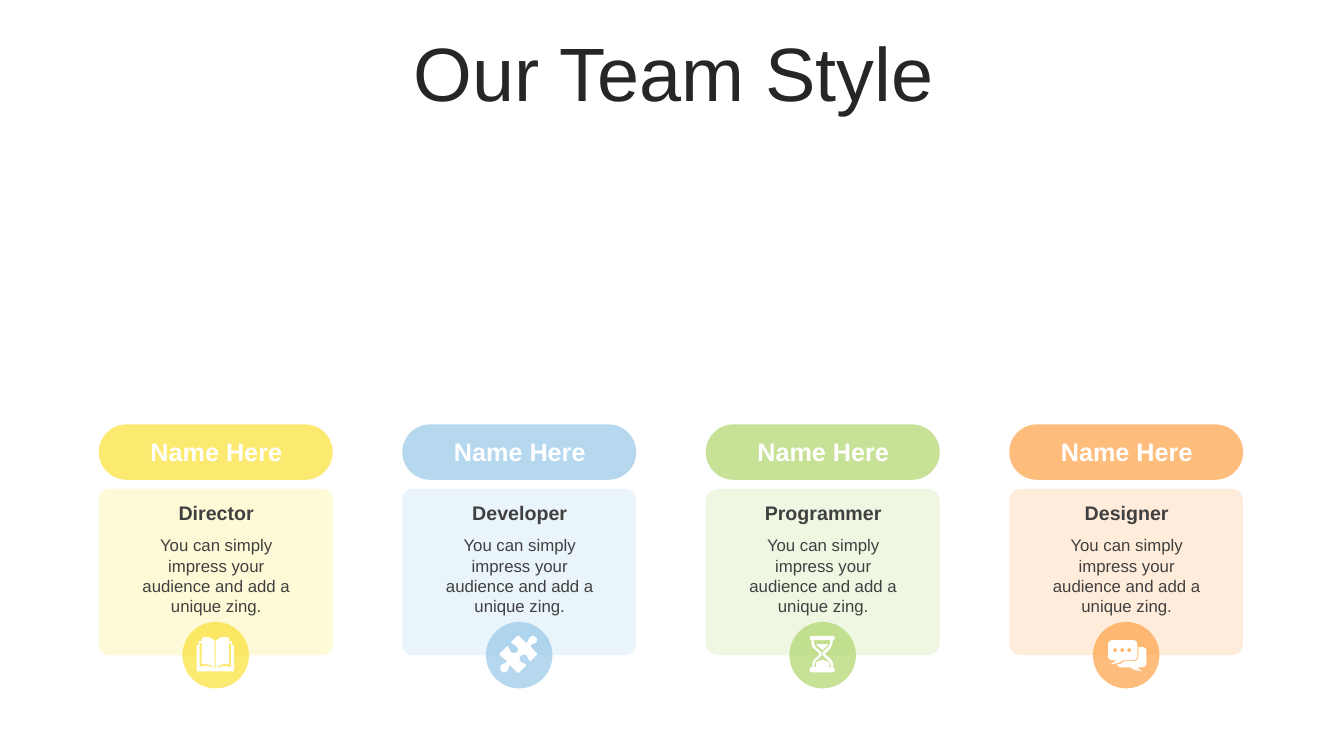
from lxml import etree
from pptx import Presentation
from pptx.dml.color import RGBColor
from pptx.enum.shapes import MSO_SHAPE
from pptx.enum.text import MSO_ANCHOR, MSO_AUTO_SIZE, PP_ALIGN
from pptx.oxml.ns import qn
from pptx.util import Pt

PX = 9144  # 100 px to the inch
PILL, DISC = MSO_SHAPE.ROUNDED_RECTANGLE, MSO_SHAPE.OVAL
MIDDLE, TOP = MSO_ANCHOR.MIDDLE, MSO_ANCHOR.TOP
FIXED = MSO_AUTO_SIZE.NONE
CENTER = PP_ALIGN.CENTER
TITLE_ONLY = 5
CURVE_STEPS = 6

COLORS = {
    "title": "262626", "text": "404040", "white": "FFFFFF",
    "yellow": "FBE034", "blue": "96C8E9", "green": "B0D66C", "orange": "FFA246",
    "pale yellow": "FEF9D6", "pale blue": "EAF4FB",
    "pale green": "EFF7E2", "pale orange": "FFECDA",
}

# Icon outlines in px from the top left of their disc: M move, L line, C curve
BOOK = """M 32 46 L 33 46 C 39 44 42 43 48 45 L 48 21 L 46 21 L 46 42 C 42 41 37 42 33 46
L 33 19 C 36 16 38 15 41 15 C 43 15 44 15 46 16 L 46 19 L 49 19 L 49 23 L 51 23 L 51 49
L 14 49 L 14 23 L 16 23 L 16 19 L 19 19 L 19 16 C 21 15 22 15 24 15 C 27 15 29 16 32 19
L 32 46 C 28 42 23 41 19 42 L 19 21 L 17 21 L 17 45 C 23 42 26 44 32 46"""
PUZZLE = """M 49 15 C 51 16 51 18 50 20 C 48 22 46 21 44 24 L 51 32 L 44 39
C 41 37 42 35 40 33 C 38 32 36 32 34 34 C 33 35 33 38 34 39 C 37 42 38 40 40 43
L 32 51 L 24 43 C 22 45 23 46 21 49 C 19 50 17 50 15 49 C 14 47 14 45 15 43
C 17 41 19 42 21 39 L 13 32 L 21 24 C 24 26 23 28 25 30 C 27 31 29 31 31 30
C 32 28 32 26 30 24 C 28 22 27 23 25 20 L 32 13 L 40 21 C 43 18 41 17 44 15
C 45 13 48 14 49 15"""
HOURGLASS = """M 33 38 C 35 38 37 39 39 40 C 40 41 40 43 39 45 L 27 45 C 26 43 26 41 27 40
C 29 39 31 38 33 38
M 26 22 L 39 22 C 38 22 38 23 37 24 L 33 28 L 28 24 C 27 23 27 22 26 22
M 24 18 C 24 21 25 24 27 26 L 32 30 L 32 33 L 27 38 C 25 40 24 43 25 45 L 41 45
C 41 43 41 40 38 38 L 33 33 L 33 30 L 38 25 C 40 23 41 20 40 18
M 22 14 L 43 14 C 44 14 45 15 45 16 C 45 17 44 18 43 18 C 43 21 42 24 40 27 L 35 32
L 40 36 C 43 39 44 42 43 46 C 44 46 45 46 45 48 C 45 49 44 50 43 50 L 22 50
C 21 50 20 49 20 48 C 20 46 21 45 22 45 L 23 45 C 22 42 23 39 25 37 L 30 32 L 25 27
C 22 25 21 21 22 18 C 21 18 20 17 20 16 C 20 15 21 14 22 14"""
BUBBLES = """M 45 25 L 49 25 C 51 25 53 26 53 29 L 53 41 C 53 43 51 45 49 45 L 44 45
C 45 46 45 47 49 49 C 42 48 41 48 37 45 L 28 45 C 26 45 25 44 24 42 C 27 42 29 41 31 39
L 41 39 C 43 39 45 37 45 35
M 19 18 L 40 18 C 42 18 44 20 44 22 L 44 34 C 44 36 42 38 40 38 L 30 38
C 26 41 24 41 17 42 C 21 40 21 40 23 38 L 19 38 C 17 38 15 36 15 34 L 15 22
C 15 20 17 18 19 18 """
DOTS = " ".join(
    f"M {x} 26 C {x - 1} 26 {x - 2} 27 {x - 2} 28 C {x - 2} 29 {x - 1} 30 {x} 30 "
    f"C {x + 1} 30 {x + 2} 29 {x + 2} 28 C {x + 2} 27 {x + 1} 26 {x} 26"
    for x in (22, 29, 36)
)

TEAM = [
    ("Director", "yellow", 0.063, BOOK),
    ("Developer", "blue", 0.063, PUZZLE),
    ("Programmer", "green", 0.075, HOURGLASS),
    ("Designer", "orange", 0.069, BUBBLES + DOTS),
]
BLURB = "You can simply impress your audience and add a unique zing."


def outlines(drawing):
    """Turn a drawing into lists of points, with its curves split into short lines."""
    contours = []
    for command in drawing.replace("M", "|M").replace("L", "|L").replace("C", "|C").split("|")[1:]:
        kind, *numbers = command.split()
        values = [int(number) for number in numbers]
        points = list(zip(values[::2], values[1::2]))
        if kind == "M":
            contours.append(points)
        elif kind == "L":
            contours[-1] += points
        else:
            ends = [contours[-1][-1], *points]
            for step in range(1, CURVE_STEPS + 1):
                t = step / CURVE_STEPS
                weights = ((1 - t) ** 3, 3 * t * (1 - t) ** 2, 3 * t * t * (1 - t), t ** 3)
                contours[-1].append(tuple(
                    sum(weight * end[axis] for weight, end in zip(weights, ends))
                    for axis in (0, 1)
                ))
    return contours


class TeamPage:
    font = "Arial"

    def __init__(self, deck):
        self.page = deck.slides.add_slide(deck.slide_layouts[TITLE_ONLY])

    def paint(self, shape, color, opacity=100):
        shape.shadow.inherit = False
        shape.line.fill.background()
        shape.fill.solid()
        shape.fill.fore_color.rgb = RGBColor.from_string(COLORS[color])
        if opacity < 100:
            tint = shape._element.spPr.find(qn("a:solidFill"))[0]
            etree.SubElement(tint, qn("a:alpha")).set("val", str(opacity * 1000))

    def set_text(self, box, text, size, color, bold=False, anchor=MIDDLE):
        frame = box.text_frame
        frame.word_wrap = True
        frame.auto_size = FIXED
        frame.vertical_anchor = anchor
        frame.text = text
        para = frame.paragraphs[0]
        para.alignment = CENTER
        para.font.name = self.font
        para.font.size = Pt(size)
        para.font.bold = bold
        para.font.color.rgb = RGBColor.from_string(COLORS[color])
        return para

    def title(self, text, *place):
        box = self.page.shapes.title
        box.left, box.top, box.width, box.height = (PX * length for length in place)
        self.set_text(box, text, 54, "title").line_spacing = 0.9

    def text(self, text, place, size, color, **style):
        box = self.page.shapes.add_textbox(*(PX * length for length in place))
        self.set_text(box, text, size, color, **style)

    def shape(self, kind, place, color, opacity=100, rounding=None):
        shape = self.page.shapes.add_shape(kind, *(PX * length for length in place))
        if rounding is not None:
            shape.adjustments[0] = rounding
        self.paint(shape, color, opacity)

    def icon(self, drawing, left, top):
        contours = [
            [(PX * (left + x), PX * (top + y)) for x, y in contour]
            for contour in outlines(drawing)
        ]
        builder = self.page.shapes.build_freeform(*contours[0][0])
        for index, contour in enumerate(contours):
            if index:
                builder.move_to(*contour[0])
            builder.add_line_segments(contour[1:], close=True)
        self.paint(builder.convert_to_shape(), "white")

    def member(self, left, role, color, rounding, drawing):
        self.shape(PILL, (left, 421, 232, 55), color, 70, 0.5)
        self.shape(PILL, (left, 485, 232, 165), f"pale {color}", rounding=rounding)
        self.shape(DISC, (left + 83, 617, 66, 66), color, 70)
        self.text(role, (left + 26, 491, 181, 35), 14, "text", bold=True)
        self.text(BLURB, (left + 26, 526, 181, 91), 12, "text", anchor=TOP)
        self.text("Name Here", (left + 26, 434, 181, 27), 18, "white", bold=True)
        self.icon(drawing, left + 83, 617)


def main():
    deck = Presentation()
    deck.slide_width, deck.slide_height = 1333 * PX, 750 * PX
    team_page = TeamPage(deck)
    team_page.title("Our Team Style", 35, 37, 1266, 79)
    for index, member in enumerate(TEAM):
        team_page.member(98 + 301 * index, *member)
    deck.save("out.pptx")


if __name__ == "__main__":
    main()
